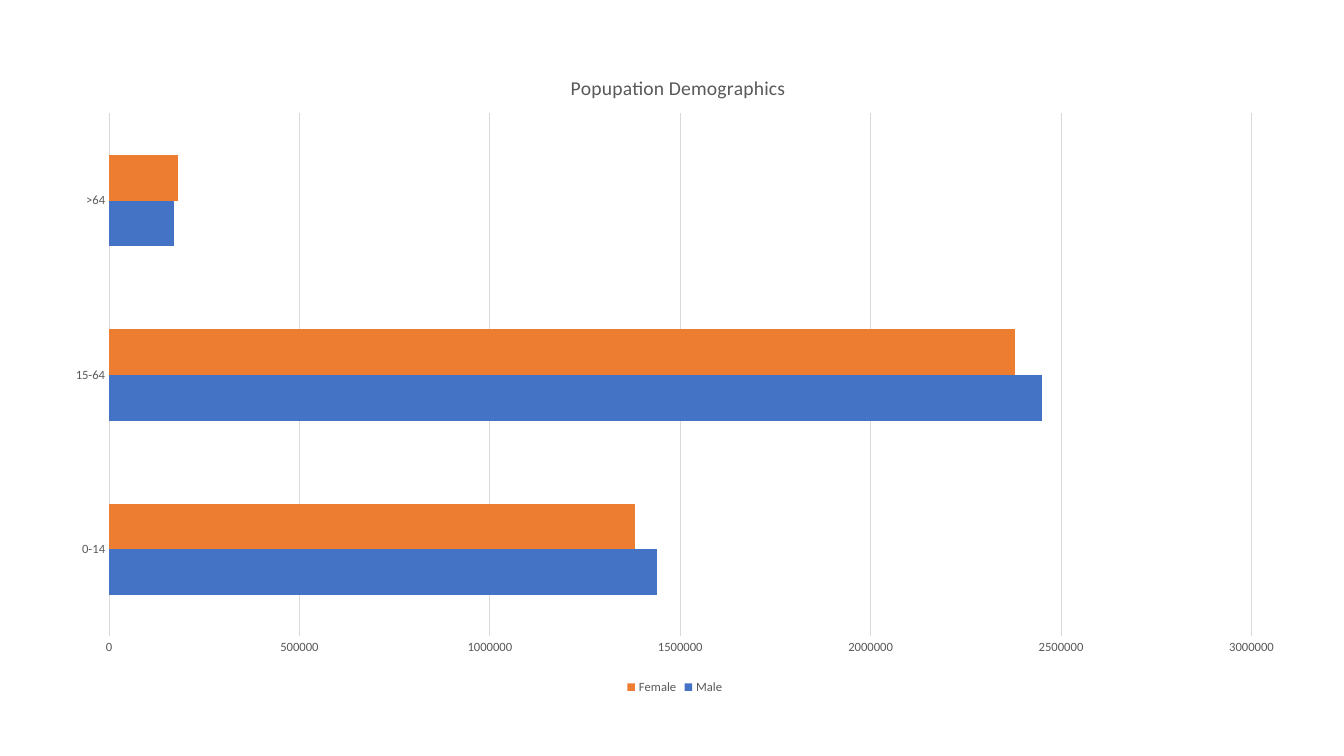
from lxml import etree
from pptx import Presentation
from pptx.chart.data import CategoryChartData
from pptx.dml.color import RGBColor
from pptx.enum import chart as ch
from pptx.oxml import ns
from pptx.util import Cm, Pt

# Content
TITLE = "Popupation Demographics"
AGES = ["0-14", "15-64", ">64"]
SERIES = [
    ("Male", [1440000, 2450000, 170000], "4472C4"),
    ("Female", [1380000, 2380000, 180000], "ED7D31"),
]
GREY, RULE = "595959", "D9D9D9"

# Places on the slide in cm: left, top, width, height
FRAME = (1.27, 1.14, 31.47, 16.46)
PLOT = (2.75, 2.86, 28.79, 13.18)
HEAD = (14.29, 1.78)


def tint(code):
    return RGBColor.from_string(code)


def style(font, size=9, color=GREY):
    font.name, font.size, font.bold = "Calibri", Pt(size), False
    font.color.rgb = tint(color)


def write(frame, words, **form):
    run = frame.paragraphs[0].add_run()
    run.text = words
    style(run.font, **form)


def rule(line):
    line.color.rgb = tint(RULE)
    line.width = Pt(0.75)


def place(node, box, inner=False):
    """Fix a chart part at a slide position, as shares of the frame."""
    for old in node.findall(ns.qn("c:layout")):
        node.remove(old)
    lay = etree.Element(ns.qn("c:layout"))
    man = etree.SubElement(lay, ns.qn("c:manualLayout"))
    shares = [(box[0] - FRAME[0]) / FRAME[2], (box[1] - FRAME[1]) / FRAME[3]]
    shares += [part / full for part, full in zip(box[2:], FRAME[2:])]
    items = [("layoutTarget", "inner")] if inner else []
    items += [("xMode", "edge"), ("yMode", "edge")]
    items += zip("xywh", shares)
    for tag, val in items:
        etree.SubElement(man, ns.qn("c:" + tag)).set("val", str(val))
    text = node.find(ns.qn("c:tx"))
    if text is None:
        node.insert(0, lay)
    else:
        text.addnext(lay)


# Slide
deck = Presentation()
deck.slide_width, deck.slide_height = Cm(33.87), Cm(19.05)
slide = deck.slides.add_slide(deck.slide_layouts[6])

# Chart
data = CategoryChartData()
data.categories = AGES
for name, vals, _ in SERIES:
    data.add_series(name, vals)
kind = ch.XL_CHART_TYPE.BAR_CLUSTERED
chart = slide.shapes.add_chart(kind, *map(Cm, FRAME), data).chart
style(chart.font, size=10, color="000000")

# Title
chart.has_title = True
write(chart.chart_title.text_frame, TITLE, size=14)
chart.chart_title.include_in_layout = False
root = chart.element.chart
place(root.find(ns.qn("c:title")), HEAD)
place(root.plotArea, PLOT, inner=True)

# Bars
plot = chart.plots[0]
plot.gap_width, plot.overlap = 182, 0
plot.vary_by_categories = False
for bar, (_, _, color) in zip(plot.series, SERIES):
    bar.invert_if_negative = False
    bar.format.fill.solid()
    bar.format.fill.fore_color.rgb = tint(color)

# Axes
ages, count = chart.category_axis, chart.value_axis
for axis in (ages, count):
    axis.major_tick_mark = axis.minor_tick_mark = ch.XL_TICK_MARK.NONE
    style(axis.tick_labels.font)
rule(ages.format.line)
count.format.line.fill.background()
count.has_major_gridlines = True
rule(count.major_gridlines.format.line)
count.minimum_scale, count.maximum_scale = 0, 3000000
count.major_unit = 500000

# Legend
chart.has_legend = True
chart.legend.position = ch.XL_LEGEND_POSITION.BOTTOM
chart.legend.include_in_layout = False
style(chart.legend.font)

deck.save("out.pptx")
